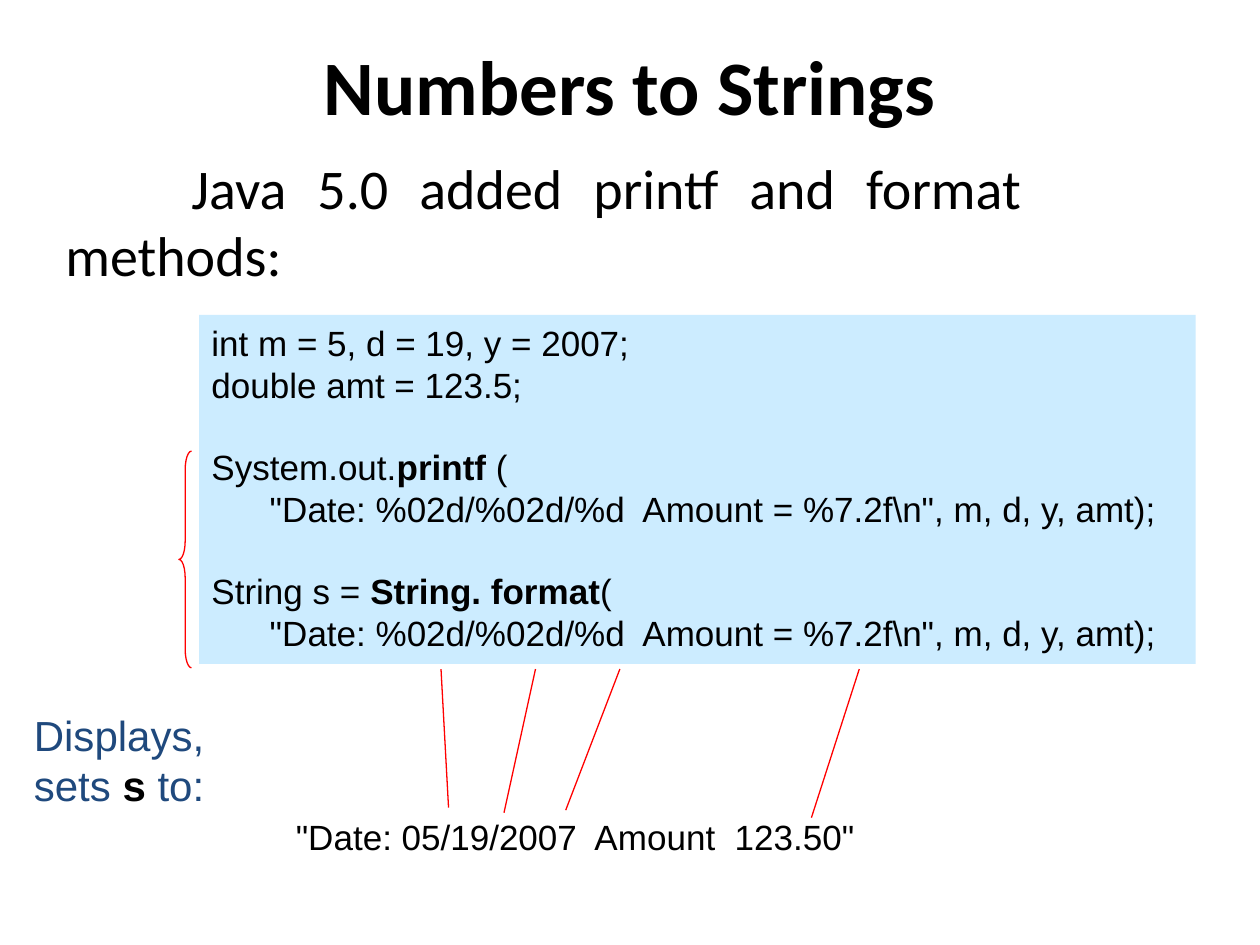
from pptx import Presentation
from pptx.dml.color import RGBColor
from pptx.enum.shapes import MSO_CONNECTOR, MSO_SHAPE
from pptx.enum.text import MSO_ANCHOR, PP_ALIGN
from pptx.oxml.ns import qn
from pptx.util import Inches, Pt
from lxml import etree

BLACK = "000000"
NAVY = "1F497D"
RED = "FF0000"
PALE_BLUE = "CCECFF"


def color(value):
    return RGBColor.from_string(value)


def set_font(paragraph, name, size, value=BLACK, bold=None):
    paragraph.font.name = name
    paragraph.font.size = Pt(size)
    paragraph.font.bold = bold
    paragraph.font.color.rgb = color(value)


def add_text(slide, box, text=""):
    shape = slide.shapes.add_textbox(*map(Inches, box))
    shape.text_frame.word_wrap = True
    paragraph = shape.text_frame.paragraphs[0]
    paragraph.text = text
    return shape.text_frame, paragraph


def add_title(slide, box):
    frame, paragraph = add_text(slide, box, "Numbers to Strings")
    frame.vertical_anchor = MSO_ANCHOR.MIDDLE
    paragraph.alignment = PP_ALIGN.CENTER
    set_font(paragraph, "Calibri", 44, bold=True)


def add_introduction(slide, box):
    frame, paragraph = add_text(slide, box, "Java 5.0 added printf and format methods:")
    paragraph.alignment = PP_ALIGN.JUSTIFY
    paragraph._p.get_or_add_pPr().set("indent", str(Inches(1)))
    set_font(paragraph, "Calibri", 32)


def add_code(slide, box):
    arguments = '      "Date: %02d/%02d/%d  Amount = %7.2f\\n", m, d, y, amt);'
    statements = [
        (0, "int m = 5, d = 19, y = 2007;", "", ""),
        (0, "double amt = 123.5;", "", ""),
        (23, "System.out.", "printf", " ("),
        (0, arguments, "", ""),
        (23, "String s = ", "String. format", "("),
        (0, arguments, "", ""),
    ]
    shape = slide.shapes.add_shape(MSO_SHAPE.RECTANGLE, *map(Inches, box))
    shape.shadow.inherit = False
    shape.fill.solid()
    shape.fill.fore_color.rgb = color(PALE_BLUE)
    shape.line.fill.background()
    frame = shape.text_frame
    frame.word_wrap = True
    frame.vertical_anchor = MSO_ANCHOR.TOP
    for index, (gap, start, method, end) in enumerate(statements):
        paragraph = frame.add_paragraph() if index else frame.paragraphs[0]
        paragraph.alignment = PP_ALIGN.LEFT
        paragraph.space_before = Pt(gap)
        set_font(paragraph, "Arial", 20)
        for text, bold in ((start, None), (method, True), (end, None)):
            if text:
                run = paragraph.add_run()
                run.text = text
                run.font.bold = bold


def add_brace(slide, box):
    brace = slide.shapes.add_shape(MSO_SHAPE.LEFT_BRACE, *map(Inches, box))
    brace.shadow.inherit = False
    brace.adjustments[0] = 1.47
    brace.fill.background()
    brace.line.color.rgb = color(RED)
    brace.line.width = Pt(0.75)


def add_result_label(slide, box):
    frame, paragraph = add_text(slide, box)
    set_font(paragraph, "Arial", 24, NAVY)
    for text in ("Displays, sets ", "s", " to:"):
        run = paragraph.add_run()
        run.text = text
        if text == "s":
            run.font.bold = True
            run.font.color.rgb = color(BLACK)


def add_result(slide, box):
    frame, paragraph = add_text(slide, box, '"Date: 05/19/2007  Amount  123.50"')
    set_font(paragraph, "Arial", 20)


def add_links(slide, top, links):
    for result_x, result_y, code_x in links:
        link = slide.shapes.add_connector(
            MSO_CONNECTOR.STRAIGHT,
            *map(Inches, (result_x, result_y, code_x, top)),
        )
        link.line.color.rgb = color(RED)
        link.line.width = Pt(0.75)
        etree.SubElement(link._element.spPr, qn("a:effectLst"))


def main():
    presentation = Presentation()
    presentation.slide_width = Inches(10)
    presentation.slide_height = Inches(7.5)
    slide = presentation.slides.add_slide(presentation.slide_layouts[6])
    add_title(slide, (0, 0.17, 10, 1))
    add_introduction(slide, (0.42, 1.17, 7.79, 4.89))
    add_code(slide, (1.58, 2.5, 7.91, 2.77))
    add_brace(slide, (1.42, 3.58, 0.1, 1.72))
    add_result_label(slide, (0.17, 5.58, 1.71, 0.9))
    add_result(slide, (2.25, 6.42, 4.83, 0.43))
    add_links(slide, 5.31, [
        (3.56, 6.41, 3.5),
        (4, 6.45, 4.25),
        (4.49, 6.43, 4.92),
        (6.44, 6.49, 6.82),
    ])
    presentation.save("out.pptx")


if __name__ == "__main__":
    main()
